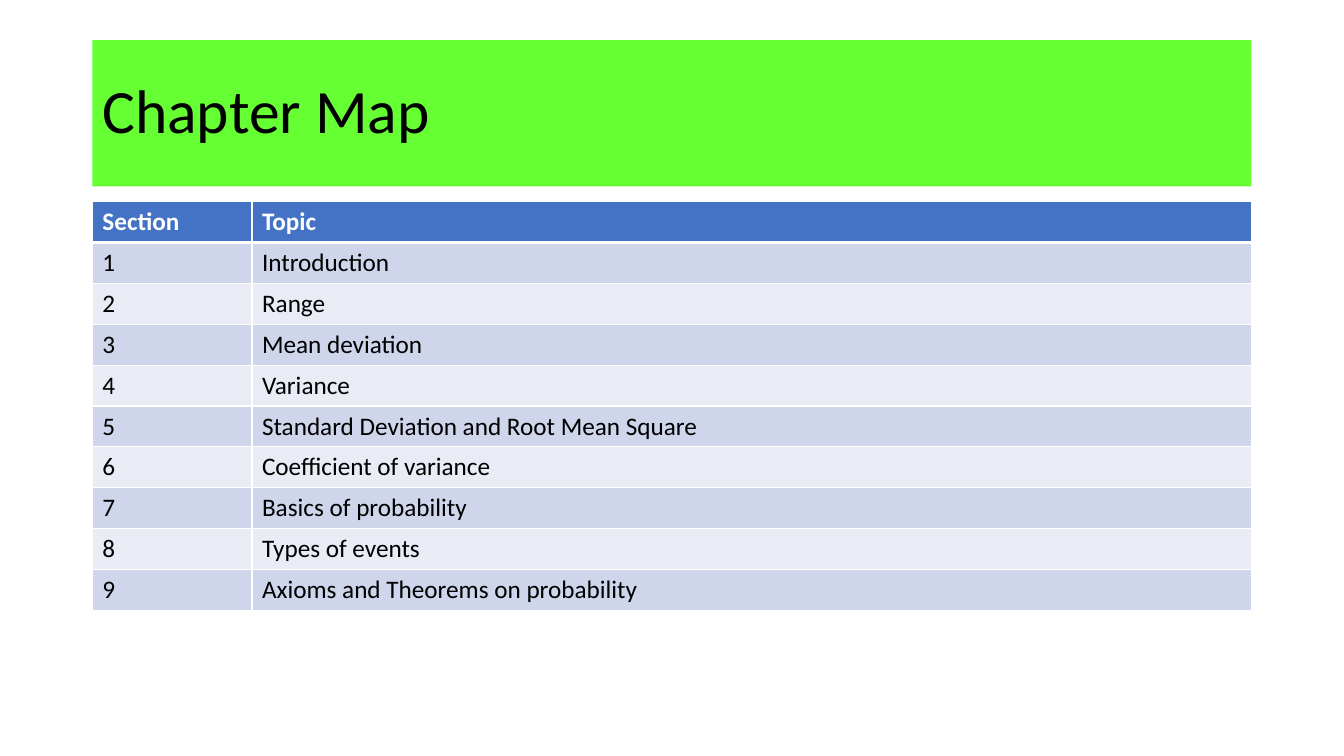
from lxml.etree import SubElement
from pptx import Presentation
from pptx.dml.color import RGBColor
from pptx.enum.shapes import MSO_SHAPE
from pptx.enum.text import MSO_ANCHOR, PP_ALIGN
from pptx.oxml.ns import qn
from pptx.util import Pt

# Content
TITLE = "Chapter Map"
HEADINGS = ("Section", "Topic")
TOPICS = [
    "Introduction",
    "Range",
    "Mean deviation",
    "Variance",
    "Standard Deviation and Root Mean Square",
    "Coefficient of variance",
    "Basics of probability",
    "Types of events",
    "Axioms and Theorems on probability",
]

# Style and layout, in points
FONT = "Calibri"
BLACK = RGBColor(0x00, 0x00, 0x00)
WHITE = RGBColor(0xFF, 0xFF, 0xFF)
GREEN = RGBColor(0x66, 0xFF, 0x33)
BLUE = RGBColor(0x44, 0x72, 0xC4)
BANDS = (RGBColor(0xCF, 0xD5, 0xEA), RGBColor(0xE9, 0xEB, 0xF5))
LEFT, WIDTH = 66, 828
TITLE_TOP, TITLE_HEIGHT = 28.75, 104.4
TABLE_TOP, ROW_HEIGHT = 144, 29.2
SECTION_WIDTH = 114


def style_text(paragraph, size, color, bold=False):
    font = paragraph.runs[0].font
    font.name, font.size, font.bold = FONT, Pt(size), bold
    font.color.rgb = color


def add_borders(cell, bottom_width):
    """Draw white cell borders; they must precede the fill in the XML."""
    properties = cell._tc.get_or_add_tcPr()
    widths = {"a:lnL": 1, "a:lnR": 1, "a:lnT": 1, "a:lnB": bottom_width}
    for position, (side, width) in enumerate(widths.items()):
        border = SubElement(properties, qn(side), w=str(Pt(width)))
        fill = SubElement(border, qn("a:solidFill"))
        SubElement(fill, qn("a:srgbClr"), val=str(WHITE))
        properties.insert(position, border)


presentation = Presentation()
presentation.slide_width, presentation.slide_height = Pt(960), Pt(540)
slide = presentation.slides.add_slide(presentation.slide_layouts[6])

# Title banner
banner = slide.shapes.add_shape(
    MSO_SHAPE.RECTANGLE, Pt(LEFT), Pt(TITLE_TOP), Pt(WIDTH), Pt(TITLE_HEIGHT))
banner.shadow.inherit = False
banner.fill.solid()
banner.fill.fore_color.rgb = GREEN
banner.line.fill.background()
banner.text_frame.text = TITLE
banner.text_frame.vertical_anchor = MSO_ANCHOR.MIDDLE
heading = banner.text_frame.paragraphs[0]
heading.alignment = PP_ALIGN.LEFT
heading.line_spacing = 0.9
style_text(heading, 44, BLACK)

# Chapter table
rows = [HEADINGS] + [(str(n), topic) for n, topic in enumerate(TOPICS, 1)]
chapters = slide.shapes.add_table(
    len(rows), len(HEADINGS), Pt(LEFT), Pt(TABLE_TOP),
    Pt(WIDTH), Pt(ROW_HEIGHT * len(rows))).table
chapters.columns[0].width = Pt(SECTION_WIDTH)
chapters.columns[1].width = Pt(WIDTH - SECTION_WIDTH)

for r, row in enumerate(rows):
    is_header = r == 0
    for c, label in enumerate(row):
        cell = chapters.cell(r, c)
        cell.text_frame.text = label
        style_text(cell.text_frame.paragraphs[0], 18,
                   WHITE if is_header else BLACK, is_header)
        cell.fill.solid()
        cell.fill.fore_color.rgb = BLUE if is_header else BANDS[(r - 1) % 2]
        # The rule under the header is shared with the first row's top edge
        add_borders(cell, 3 if is_header else 1)
        if r == 1:
            cell._tc.tcPr.find(qn("a:lnT")).set("w", str(Pt(3)))

presentation.save("out.pptx")
